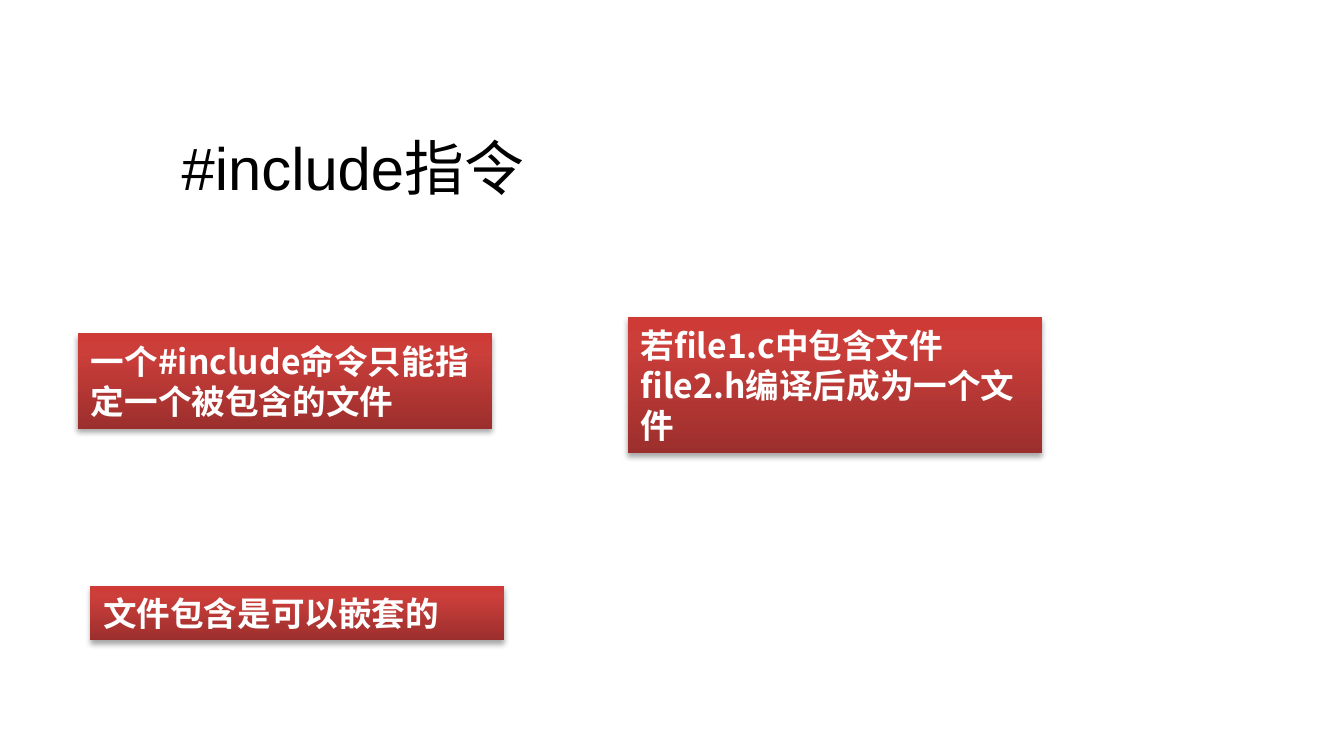
from copy import deepcopy
from lxml import etree
from pptx import Presentation
from pptx.dml.color import RGBColor
from pptx.enum import shapes, text
from pptx.oxml.ns import qn
from pptx.util import Cm, Pt

TITLE = ("#include指令", (3.18, 2.29, 15.44, 1.7))
NOTES = [
    ("一个#include命令只能指定一个被包含的文件", (1.47, 6.3, 7.83, 1.8)),
    ("文件包含是可以嵌套的", (1.7, 11.07, 7.83, 1.02)),
    ("若file1.c中包含文件file2.h编译后成为一个文件", (11.86, 5.99, 7.83, 2.57)),
]
BLACK = RGBColor(0x00, 0x00, 0x00)
WHITE = RGBColor(0xFF, 0xFF, 0xFF)
STOPS = [
    (0, RGBColor(0x9C, 0x2F, 0x2D)),
    (0.8, RGBColor(0xCB, 0x3E, 0x3A)),
    (1, RGBColor(0xCE, 0x3B, 0x37)),
]
CJK = "Noto Sans CJK SC"
TITLE_FONT = dict(name="Arial", size=Pt(32), bold=False)
NOTE_FONT = dict(name=CJK, size=Pt(18), bold=True)
FRAME = dict(word_wrap=True, vertical_anchor=text.MSO_ANCHOR.MIDDLE)


def place(sp, box):
    for name, value in zip(("left", "top", "width", "height"), box):
        setattr(sp, name, Cm(value))


def write(sp, words, font, color, auto_size):
    tf = sp.text_frame
    for name, value in dict(FRAME, auto_size=auto_size).items():
        setattr(tf, name, value)
    p = tf.paragraphs[0]
    p.alignment = text.PP_ALIGN.LEFT
    r = p.add_run()
    r.text = words
    for name, value in font.items():
        setattr(r.font, name, value)
    r.font.color.rgb = color
    etree.SubElement(r._r.get_or_add_rPr(), qn("a:ea"), typeface=CJK)


def paint(sp):
    sp.line.fill.background()
    sp.fill.gradient()
    sp.fill.gradient_angle = 90
    stops = sp._element.spPr.find(".//" + qn("a:gsLst"))
    stops.append(deepcopy(stops[0]))
    for stop, (position, color) in zip(sp.fill.gradient_stops, STOPS):
        stop.position = position
        stop.color.rgb = color


def cast_shadow(sp):
    sp.shadow.inherit = False
    effects = sp._element.spPr.find(qn("a:effectLst"))
    shadow = etree.SubElement(effects, qn("a:outerShdw"), blurRad=str(Pt(3.1)),
                              dist=str(Pt(1.8)), dir="5400000", rotWithShape="0")
    color = etree.SubElement(shadow, qn("a:srgbClr"), val=str(BLACK))
    etree.SubElement(color, qn("a:alpha"), val="35000")


def main():
    prs = Presentation()
    prs.slide_width, prs.slide_height = Cm(25.4), Cm(14.28)
    s = prs.slides.add_slide(prs.slide_layouts[5])

    words, box = TITLE
    place(s.shapes.title, box)
    write(s.shapes.title, words, TITLE_FONT, BLACK, text.MSO_AUTO_SIZE.NONE)

    for words, box in NOTES:
        sp = s.shapes.add_shape(shapes.MSO_SHAPE.RECTANGLE, *map(Cm, box))
        paint(sp)
        cast_shadow(sp)
        write(sp, words, NOTE_FONT, WHITE, text.MSO_AUTO_SIZE.SHAPE_TO_FIT_TEXT)

    prs.save("out.pptx")


if __name__ == "__main__":
    main()
